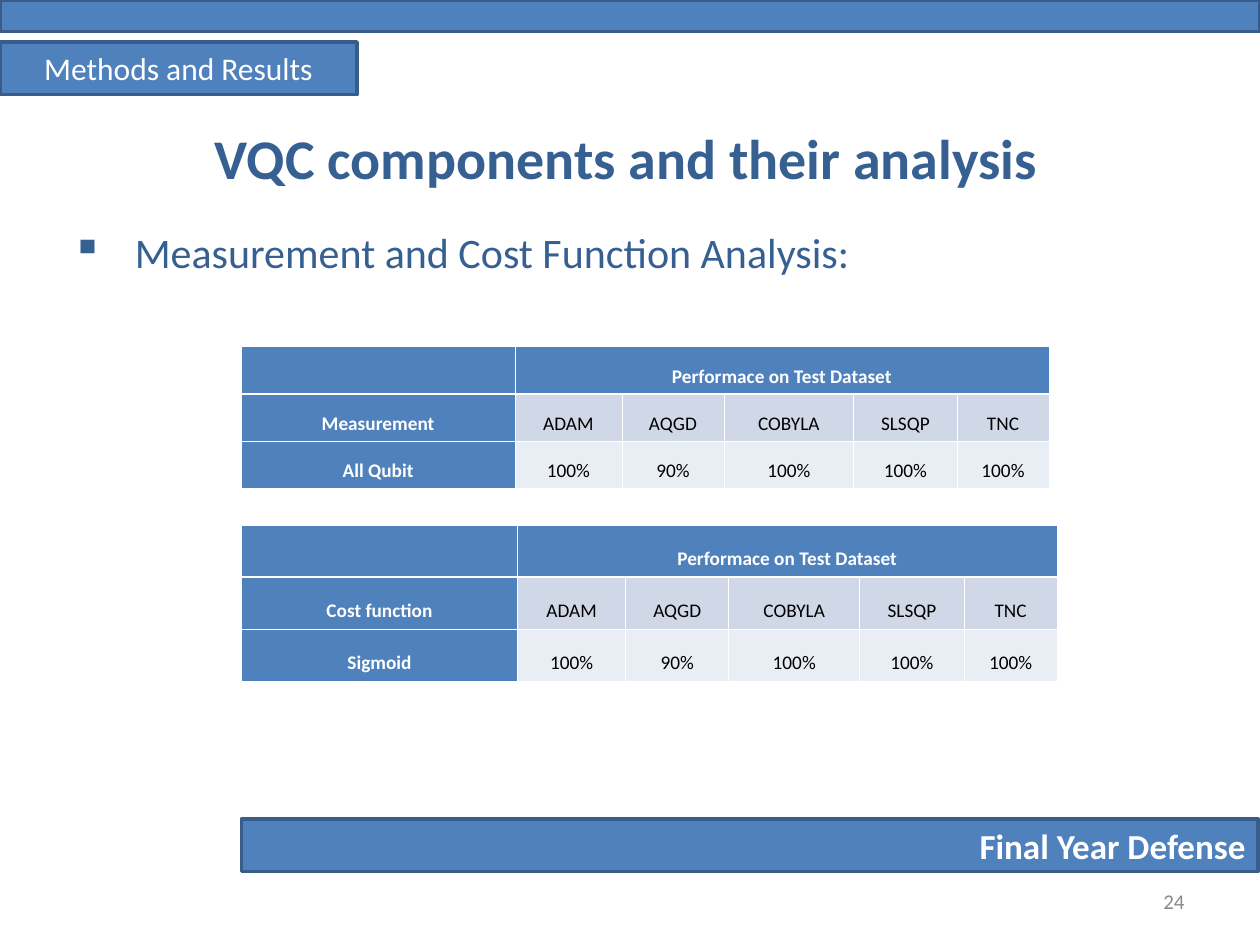
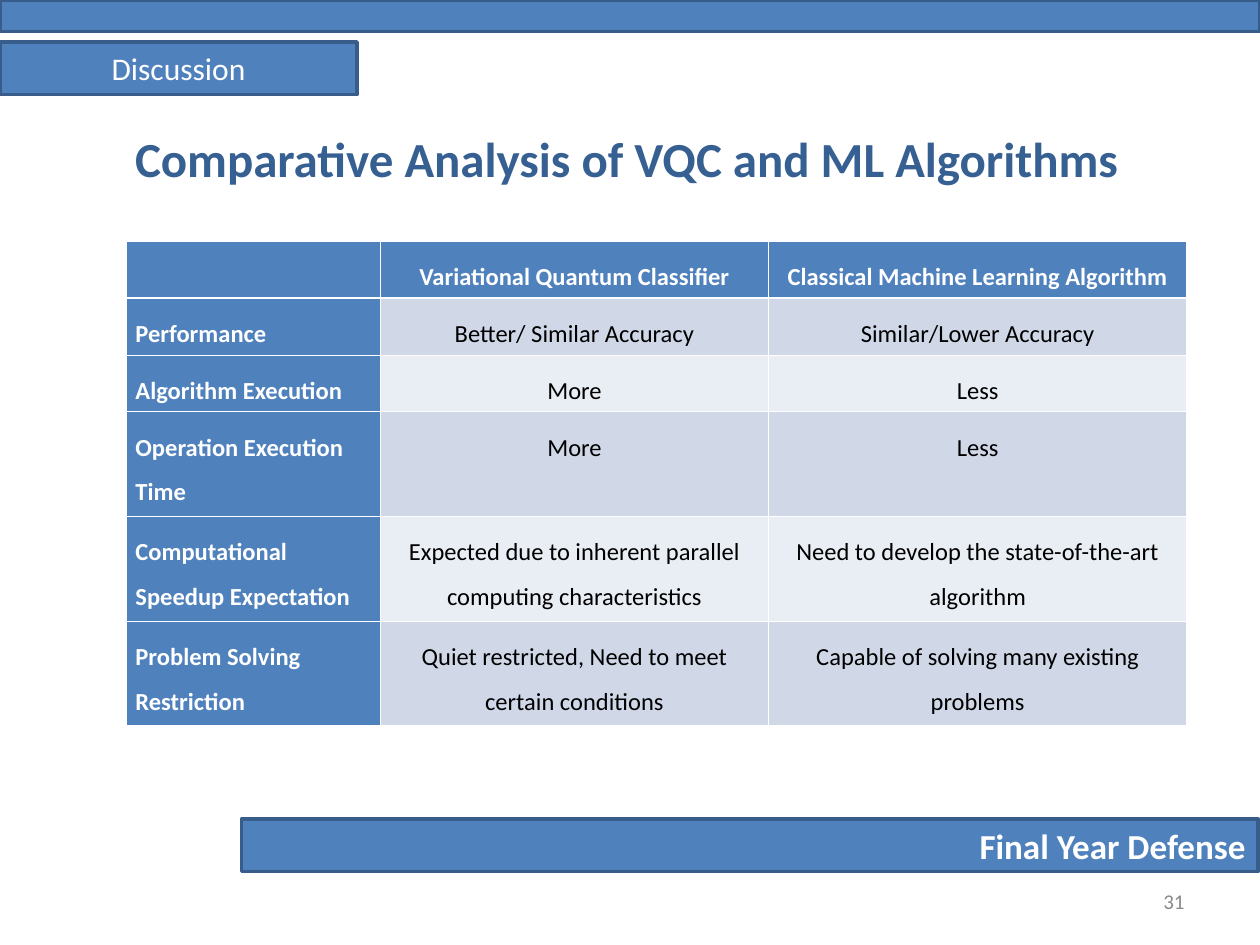
from dataclasses import dataclass

from lxml import etree
from pptx import Presentation
from pptx.dml.color import RGBColor
from pptx.enum import shapes, text
from pptx.oxml import ns
from pptx.util import Pt

OPTIMIZERS = ["ADAM", "AQGD", "COBYLA", "SLSQP", "TNC"]
SCORES = ["100%", "90%", "100%", "100%", "100%"]
SCORE_HEADING = ["", "Performace on Test Dataset", "", "", "", ""]
SCORE_COLUMNS = [156.24, 61.2, 58.32, 74.16, 59.04, 52.56]

FOOTER = "Final Year Defense"
SLIDES = [
    {
        "section": "Methods and Results",
        "title": "VQC components and their analysis",
        "title_size": 32,
        "number": "24",
        "bullet": "Measurement and Cost Function Analysis:",
        "tables": [
            {
                "rows": [SCORE_HEADING, ["Measurement", *OPTIMIZERS], ["All Qubit", *SCORES]],
                "corner": (138, 198),
                "columns": SCORE_COLUMNS,
                "heights": [26] * 3,
                "kind": "scores",
            },
            {
                "rows": [SCORE_HEADING, ["Cost function", *OPTIMIZERS], ["Sigmoid", *SCORES]],
                "corner": (138, 300),
                "columns": [width * 1.01 for width in SCORE_COLUMNS],
                "heights": [29.8] * 3,
                "kind": "scores",
            },
        ],
    },
    {
        "section": "Discussion",
        "title": "Comparative Analysis of VQC and ML Algorithms",
        "title_size": 28,
        "number": "31",
        "bullet": None,
        "tables": [
            {
                "rows": [
                    ["", "Variational Quantum Classifier", "Classical Machine Learning Algorithm"],
                    ["Performance", "Better/ Similar Accuracy", "Similar/Lower Accuracy"],
                    ["Algorithm Execution", "More", "Less"],
                    ["Operation Execution Time", "More", "Less"],
                    [
                        "Computational Speedup Expectation",
                        "Expected due to inherent parallel computing characteristics",
                        "Need to develop the state-of-the-art algorithm",
                    ],
                    [
                        "Problem Solving Restriction",
                        "Quiet restricted, Need to meet certain conditions",
                        "Capable of solving many existing problems",
                    ],
                ],
                "corner": (72, 138),
                "columns": [145.44, 221.76, 239.04],
                "heights": [28] * 3 + [59.76] * 3,
                "kind": "comparison",
            },
        ],
    },
]


@dataclass(frozen=True)
class Theme:
    font: str = "Calibri"
    blue: str = "4F81BD"
    edge: str = "385D8A"
    heading: str = "376092"
    grey: str = "898989"
    white: str = "FFFFFF"
    black: str = "000000"
    stripes: tuple = ("E9EDF4", "D0D8E8")
    footer_size: int = 20
    section_size: int = 18
    bullet_size: int = 24
    number_size: int = 12
    scores_size: int = 11
    comparison_size: int = 14
    thin: float = 0.45
    thick: float = 1.47


THEME = Theme()
LEFT, CENTER, RIGHT = text.PP_ALIGN.LEFT, text.PP_ALIGN.CENTER, text.PP_ALIGN.RIGHT
TOP, MIDDLE, BOTTOM = text.MSO_ANCHOR.TOP, text.MSO_ANCHOR.MIDDLE, text.MSO_ANCHOR.BOTTOM


def points(*lengths):
    return [Pt(length) for length in lengths]


def child(parent, tag, **attributes):
    return etree.SubElement(parent, ns.qn(tag), attributes)


def write(paragraph, words, size, color, bold=False, align=LEFT):
    paragraph.alignment = align
    run = paragraph.add_run()
    run.text = words
    run.font.name = THEME.font
    run.font.size = Pt(size)
    run.font.bold = bold
    run.font.color.rgb = RGBColor.from_string(color)


def add_band(slide, box):
    band = slide.shapes.add_shape(shapes.MSO_SHAPE.RECTANGLE, *points(*box))
    band.shadow.inherit = False
    band.fill.solid()
    band.fill.fore_color.rgb = RGBColor.from_string(THEME.blue)
    band.line.color.rgb = RGBColor.from_string(THEME.edge)
    band.line.width = Pt(2)
    band.text_frame.word_wrap = True
    band.text_frame.vertical_anchor = MIDDLE
    return band.text_frame.paragraphs[0]


def add_words(slide, box, anchor=MIDDLE):
    frame = slide.shapes.add_textbox(*points(*box)).text_frame
    frame.word_wrap = True
    frame.vertical_anchor = anchor
    return frame.paragraphs[0]


def add_bullet(slide, words):
    paragraph = add_words(slide, (34, 126, 637, 320), TOP)
    properties = paragraph._p.get_or_add_pPr()
    properties.set("marL", str(Pt(36)))
    properties.set("indent", str(-Pt(36)))
    child(child(properties, "a:buClr"), "a:srgbClr", val=THEME.heading)
    child(properties, "a:buChar", char="▪")
    write(paragraph, words, THEME.bullet_size, THEME.heading)


def set_borders(cell, row):
    properties = cell._tc.get_or_add_tcPr()
    thick_sides = {0: "B", 1: "T"}
    for side in "LRTB":
        width = THEME.thick if thick_sides.get(row) == side else THEME.thin
        line = child(properties, f"a:ln{side}", w=str(Pt(width)))
        child(child(line, "a:solidFill"), "a:srgbClr", val=THEME.white)


def fill_cell(cell, words, row, column, kind):
    scores = kind == "scores"
    size = THEME.scores_size if scores else THEME.comparison_size
    label = row == 0 or column == 0
    set_borders(cell, row)
    cell.fill.solid()
    color = THEME.blue if label else THEME.stripes[row % 2]
    cell.fill.fore_color.rgb = RGBColor.from_string(color)
    cell.margin_left = cell.margin_right = Pt(5.4)
    cell.vertical_anchor = BOTTOM if scores else TOP
    paragraph = cell.text_frame.paragraphs[0]
    paragraph.line_spacing = 1.5
    if words:
        align = CENTER if scores or column else LEFT
        write(paragraph, words, size, THEME.white if label else THEME.black, label, align)
    else:
        child(paragraph._p, "a:endParaRPr", sz=str(size * 100))


def add_results(slide, rows, corner, columns, heights, kind):
    box = points(*corner, sum(columns), sum(heights))
    table = slide.shapes.add_table(len(rows), len(columns), *box).table
    table.first_row = table.horz_banding = False
    for column, width in zip(table.columns, columns):
        column.width = Pt(width)
    for row, height in zip(table.rows, heights):
        row.height = Pt(height)
    for r, row in enumerate(rows):
        for c, words in enumerate(row):
            fill_cell(table.cell(r, c), words, r, c, kind)
    if kind == "scores":
        table.cell(0, 1).merge(table.cell(0, len(columns) - 1))


def add_slide(deck, content):
    slide = deck.slides.add_slide(deck.slide_layouts[6])
    write(add_band(slide, (138, 468, 581, 30)), FOOTER, THEME.footer_size, THEME.white, True, RIGHT)
    add_band(slide, (0, 0, 720, 18))
    write(add_words(slide, (34, 67, 648, 46)), content["title"], content["title_size"],
          THEME.heading, True, CENTER)
    write(add_words(slide, (516, 500.4, 168, 28.8)), content["number"], THEME.number_size,
          THEME.grey, align=RIGHT)
    if content["bullet"]:
        add_bullet(slide, content["bullet"])
    for results in content["tables"]:
        add_results(slide, **results)
    write(add_band(slide, (0, 24, 204, 30)), content["section"], THEME.section_size,
          THEME.white, align=CENTER)


def main():
    deck = Presentation()
    deck.slide_width, deck.slide_height = points(720, 540)
    for content in SLIDES:
        add_slide(deck, content)
    deck.save("out.pptx")


if __name__ == "__main__":
    main()
